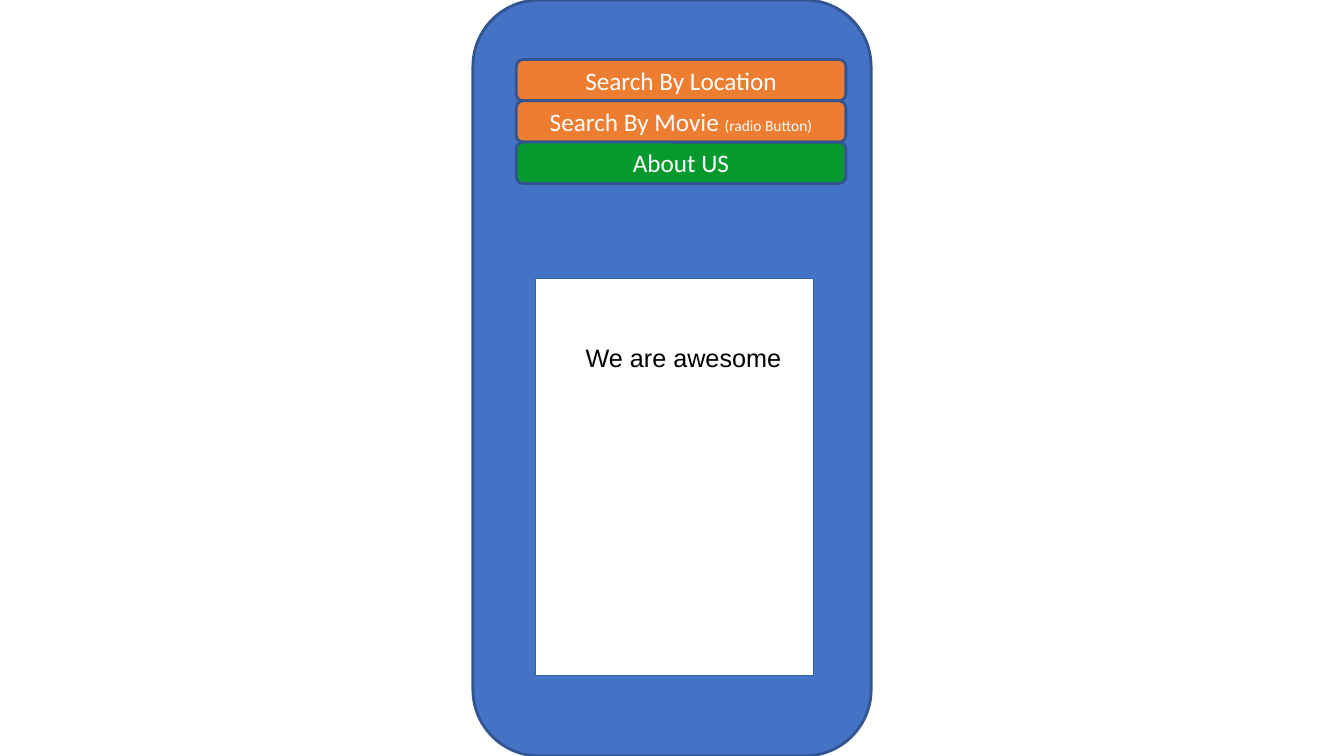
from dataclasses import dataclass

from pptx import Presentation
from pptx.dml.color import RGBColor
from pptx.enum.shapes import MSO_SHAPE
from pptx.enum.text import MSO_ANCHOR, PP_ALIGN
from pptx.shapes.autoshape import Shape
from pptx.slide import Slide
from pptx.text.text import _Paragraph as Paragraph
from pptx.util import Inches, Pt

COLORS = {
    "phone": "4472C4",
    "outline": "325490",
    "search": "ED7D31",
    "about": "069A2E",
    "white": "FFFFFF",
    "panel_line": "3465A4",
    "black": "000000",
}
BUTTON_LEFT, BUTTON_TOP = 5.12, 0.59
BUTTON_WIDTH, BUTTON_HEIGHT = 3.27, 0.41


@dataclass(frozen=True)
class Box:
    left: float
    top: float
    width: float
    height: float

    def lengths(self) -> list[Inches]:
        return [Inches(v) for v in (self.left, self.top, self.width, self.height)]


@dataclass(frozen=True)
class Button:
    label: str
    fill: str
    hint: str = ""


BUTTONS = [
    Button("Search By Location", "search"),
    Button("Search By Movie ", "search", "(radio Button)"),
    Button("About US", "about"),
]


def color(name: str) -> RGBColor:
    return RGBColor.from_string(COLORS[name])


def add_box(slide: Slide, kind: MSO_SHAPE, box: Box, fill: str,
            line: str = "outline", line_width: float = 2) -> Shape:
    shape = slide.shapes.add_shape(kind, *box.lengths())
    shape.shadow.inherit = False
    shape.fill.solid()
    shape.fill.fore_color.rgb = color(fill)
    shape.line.color.rgb = color(line)
    shape.line.width = Pt(line_width)
    return shape


def add_text(paragraph: Paragraph, text: str, font_name: str,
             font_color: str, size: float = 18) -> None:
    run = paragraph.add_run()
    run.text = text
    font_format = {"name": font_name, "size": Pt(size)}
    for attribute, value in font_format.items():
        setattr(run.font, attribute, value)
    run.font.color.rgb = color(font_color)


def add_button(slide: Slide, button: Button, row: int) -> None:
    top = BUTTON_TOP + row * BUTTON_HEIGHT
    box = Box(BUTTON_LEFT, top, BUTTON_WIDTH, BUTTON_HEIGHT)
    shape = add_box(slide, MSO_SHAPE.ROUNDED_RECTANGLE, box, button.fill)
    shape.text_frame.vertical_anchor = MSO_ANCHOR.MIDDLE
    paragraph = shape.text_frame.paragraphs[0]
    paragraph.alignment = PP_ALIGN.CENTER
    add_text(paragraph, button.label, "Calibri", "white")
    if button.hint:
        add_text(paragraph, button.hint, "Calibri", "white", 11)


def main() -> None:
    presentation = Presentation()
    presentation.slide_width = Inches(13.33)
    presentation.slide_height = Inches(7.5)
    slide = presentation.slides.add_slide(presentation.slide_layouts[6])

    add_box(slide, MSO_SHAPE.ROUNDED_RECTANGLE, Box(4.69, 0, 3.95, 7.5), "phone")
    for row, button in enumerate(BUTTONS):
        add_button(slide, button, row)
    add_box(slide, MSO_SHAPE.RECTANGLE, Box(5.31, 2.76, 2.76, 3.94),
            "white", "panel_line", 0)

    message = slide.shapes.add_textbox(*Box(5.71, 3.35, 2.17, 0.38).lengths())
    message.text_frame.word_wrap = True
    add_text(message.text_frame.paragraphs[0], "We are awesome", "Arial", "black")

    presentation.save("out.pptx")


if __name__ == "__main__":
    main()
